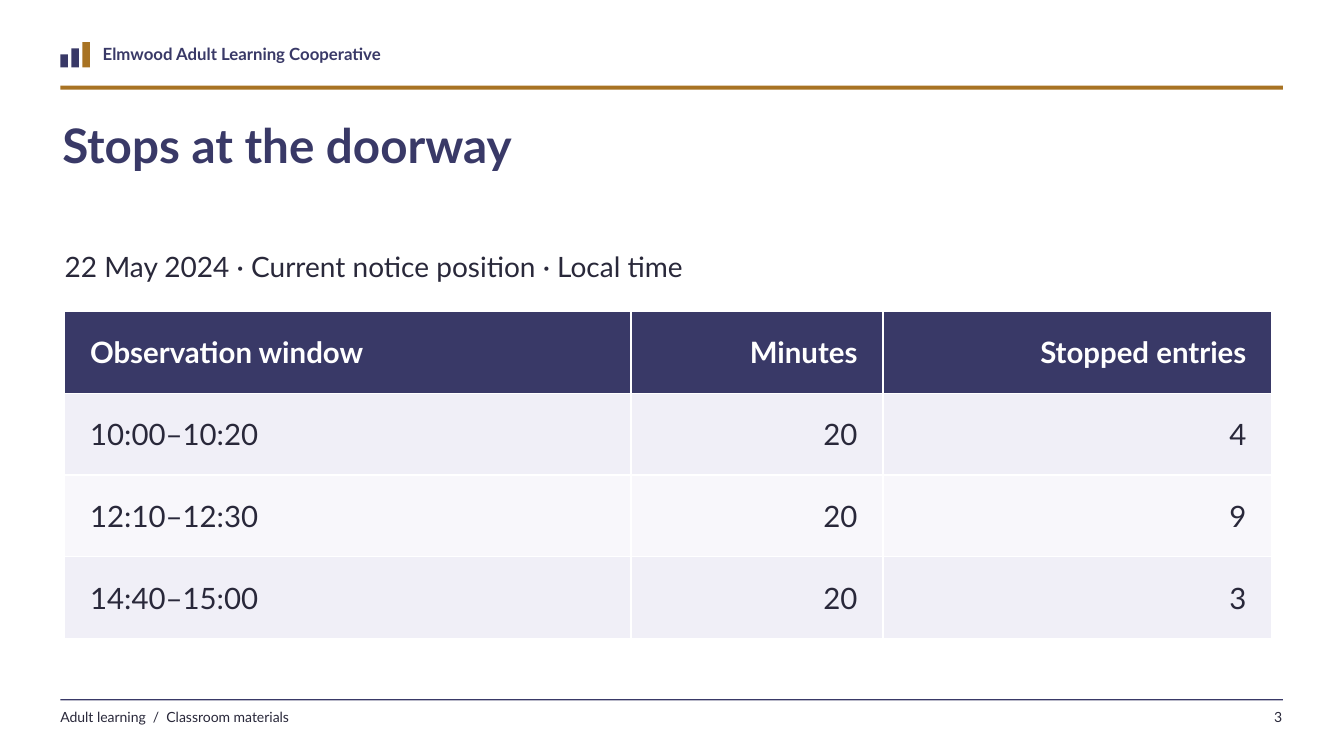
"""Build the slide with the table of stopped entries at the doorway."""
import pptx
import pptx.dml.color
import pptx.enum.shapes
import pptx.enum.text
import pptx.oxml
import pptx.oxml.ns
import pptx.util

Cm = pptx.util.Cm
Pt = pptx.util.Pt
LEFT = pptx.enum.text.PP_ALIGN.LEFT
RIGHT = pptx.enum.text.PP_ALIGN.RIGHT
NAVY, OCHRE, INK, WHITE = "393967", "A87323", "29283A", "FFFFFF"
STRIPES = ["F8F7FB", "F0EFF7"]


def rgb(value):
    return pptx.dml.color.RGBColor.from_string(value)


def style(p, size, color, bold=False, align=LEFT):
    p.alignment = align
    for r in p.runs:
        r.font.name = "Lato"
        r.font.size = Pt(size)
        r.font.bold = bold
        r.font.color.rgb = rgb(color)


prs = pptx.Presentation()
prs.slide_width = Cm(33.87)
prs.slide_height = Cm(19.05)
s = prs.slides.add_slide(prs.slide_layouts[6])

margin, content_width, bar_bottom = 1.52, 30.81, 1.7
blocks = [
    (margin, 2.16, content_width, 0.1, OCHRE),
    (margin, 17.62, content_width, 0.03, NAVY),
]
for i, (height, color) in enumerate([(0.33, NAVY), (0.48, NAVY), (0.64, OCHRE)]):
    blocks.append((margin + 0.28 * i, bar_bottom - height, 0.19, height, color))

for left, top, width, height, color in blocks:
    sp = s.shapes.add_shape(
        pptx.enum.shapes.MSO_SHAPE.RECTANGLE,
        Cm(left), Cm(top), Cm(width), Cm(height))
    sp.shadow.inherit = False
    sp.fill.solid()
    sp.fill.fore_color.rgb = rgb(color)
    sp.line.fill.background()

texts = [
    ("Elmwood Adult Learning Cooperative", 2.59, 1.09, 15.24, 0.71, 12, NAVY, True, LEFT),
    ("Stops at the doorway", 1.57, 2.92, 30.48, 2.67, 34, NAVY, True, LEFT),
    ("22 May 2024 · Current notice position · Local time",
     1.63, 6.3, 30.43, 1.07, 20, INK, False, LEFT),
    ("Adult learning  /  Classroom materials", margin, 17.86, 17.78, 0.58, 10, INK, False, LEFT),
    ("3", 30.61, 17.86, 1.7, 0.58, 10, INK, False, RIGHT),
]
for text, left, top, width, height, size, color, bold, align in texts:
    sp = s.shapes.add_textbox(Cm(left), Cm(top), Cm(width), Cm(height))
    tf = sp.text_frame
    tf.word_wrap = True
    tf.margin_left = tf.margin_right = tf.margin_top = tf.margin_bottom = 0
    tf.text = text
    style(tf.paragraphs[0], size, color, bold, align)

rows = [
    ("Observation window", "Minutes", "Stopped entries"),
    ("10:00–10:20", "20", "4"),
    ("12:10–12:30", "20", "9"),
    ("14:40–15:00", "20", "3"),
]
col_widths = [14.27, 6.35, 9.8]
row_height = 2.06
table = s.shapes.add_table(
    len(rows), len(col_widths), Cm(1.63), Cm(7.85),
    Cm(sum(col_widths)), Cm(row_height * len(rows))).table
for column, width in zip(table.columns, col_widths):
    column.width = Cm(width)

for i, row in enumerate(rows):
    table.rows[i].height = Cm(row_height)
    header = i == 0
    for j, text in enumerate(row):
        cell = table.cell(i, j)
        cell.text = text
        cell.vertical_anchor = pptx.enum.text.MSO_ANCHOR.MIDDLE
        cell.margin_left = cell.margin_right = Cm(0.64)
        cell.margin_top = cell.margin_bottom = Cm(0.13)
        style(cell.text_frame.paragraphs[0], 21, WHITE if header else INK,
              header, RIGHT if j else LEFT)
        for side in ("lnL", "lnR", "lnT", "lnB"):
            cell._tc.get_or_add_tcPr().append(pptx.oxml.parse_xml(
                f'<a:{side} {pptx.oxml.ns.nsdecls("a")} w="{Pt(1)}"><a:solidFill>'
                f'<a:srgbClr val="{WHITE}"/></a:solidFill></a:{side}>'))
        cell.fill.solid()
        cell.fill.fore_color.rgb = rgb(NAVY if header else STRIPES[i % 2])

prs.save("out.pptx")
